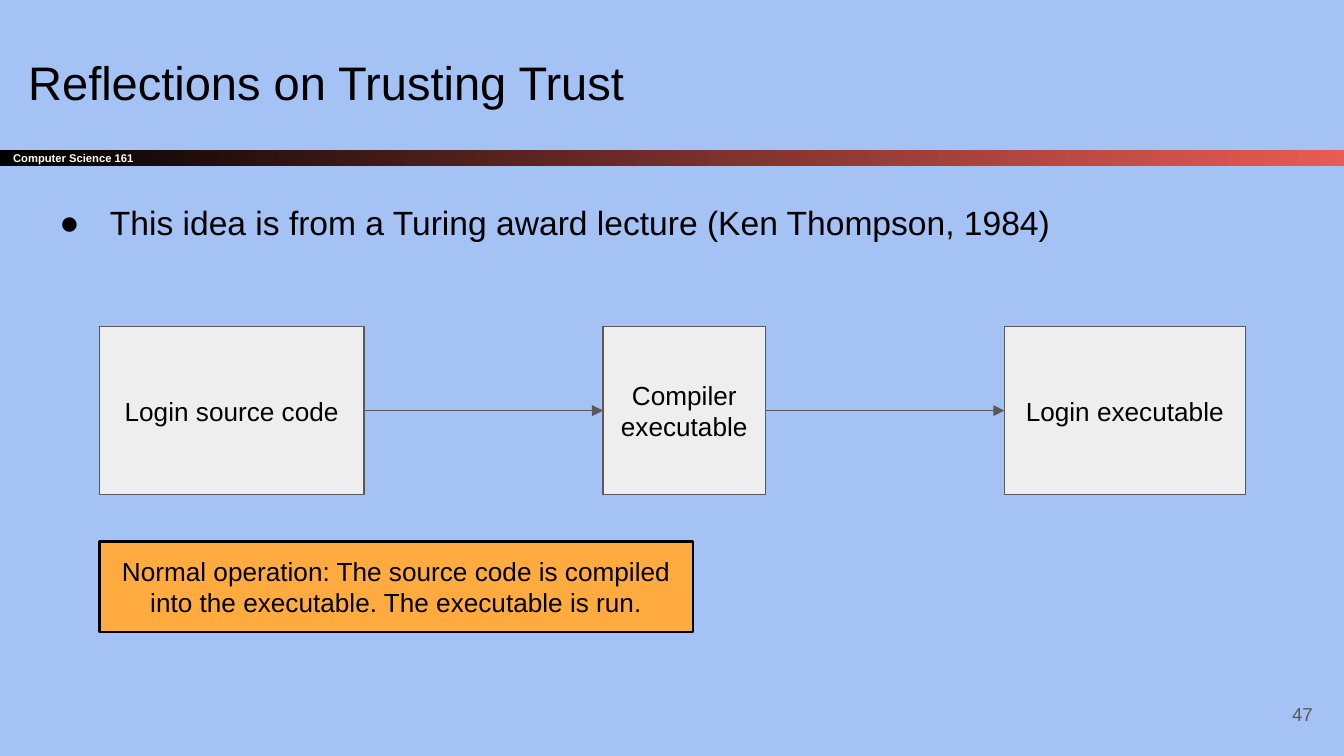
from dataclasses import dataclass

from lxml import etree
from pptx import Presentation
from pptx.dml.color import RGBColor
from pptx.enum import shapes, text
from pptx.oxml.ns import qn
from pptx.util import Pt

BLACK = RGBColor(0x00, 0x00, 0x00)
WHITE = RGBColor(0xFF, 0xFF, 0xFF)
GREY = RGBColor(0x59, 0x59, 0x59)
SKY = RGBColor(0xA4, 0xC2, 0xF4)
CORAL = RGBColor(0xE8, 0x5C, 0x54)
PALE = RGBColor(0xEE, 0xEE, 0xEE)
ORANGE = RGBColor(0xFF, 0xAB, 0x40)

LEFT, CENTER, RIGHT = text.PP_ALIGN.LEFT, text.PP_ALIGN.CENTER, text.PP_ALIGN.RIGHT
TOP, MIDDLE = text.MSO_ANCHOR.TOP, text.MSO_ANCHOR.MIDDLE
INSET = 7.2
STAGE_LEFT, STAGE_TOP, STAGE_HEIGHT, STAGE_GAP = 53.3, 175, 90, 128


@dataclass
class Box:
    """Position and size in points."""
    x: float
    y: float
    w: float
    h: float

    def lengths(self):
        """Return left, top, width and height as lengths."""
        return Pt(self.x), Pt(self.y), Pt(self.w), Pt(self.h)


@dataclass
class Style:
    """Look of a block of text."""
    size: float
    color: RGBColor = BLACK
    align: text.PP_ALIGN = LEFT
    anchor: text.MSO_ANCHOR = TOP
    bold: bool = False


@dataclass
class Stage:
    """One step of the compile flow."""
    label: str
    width: float


STAGES = [Stage("Login source code", 141.8),
          Stage("Compiler executable", 87),
          Stage("Login executable", 129)]


def write(sp, words: str, style: Style):
    """Put styled text in a shape and return its paragraph."""
    tf = sp.text_frame
    tf.word_wrap = True
    tf.vertical_anchor = style.anchor
    tf.margin_left = tf.margin_right = tf.margin_top = tf.margin_bottom = Pt(INSET)
    p = tf.paragraphs[0]
    p.text = words
    p.alignment = style.align
    font = p.runs[0].font
    font.name = "Arial"
    font.size = Pt(style.size)
    font.bold = style.bold
    font.color.rgb = style.color
    return p


def add_text(s, box: Box, words: str, style: Style):
    """Add a text box and return its paragraph."""
    return write(s.shapes.add_textbox(*box.lengths()), words, style)


def add_rect(s, box: Box, words: str, style: Style):
    """Add a rectangle with text and no shadow."""
    sp = s.shapes.add_shape(shapes.MSO_SHAPE.RECTANGLE, *box.lengths())
    sp.shadow.inherit = False
    write(sp, words, style)
    return sp


def paint(sp, fill: RGBColor, line: RGBColor, width: float):
    """Give a shape a solid fill and an outline."""
    sp.fill.solid()
    sp.fill.fore_color.rgb = fill
    sp.line.color.rgb = line
    sp.line.width = Pt(width)


def add_bar(s):
    """Add the gradient bar with the course name."""
    sp = add_rect(s, Box(0, 80.2, 720, 8.6), "Computer Science 161",
                  Style(6, WHITE, anchor=MIDDLE, bold=True))
    sp.line.fill.background()
    sp.fill.gradient()
    sp.fill.gradient_angle = 0
    for stop, color in zip(sp.fill.gradient_stops, (BLACK, CORAL)):
        stop.color.rgb = color


def add_bullet(p):
    """Turn a paragraph into a hanging bullet."""
    p.line_spacing = 1.15
    pPr = p._p.get_or_add_pPr()
    pPr.set("marL", str(Pt(36)))
    pPr.set("indent", str(-Pt(27)))
    color = etree.SubElement(pPr, qn("a:buClr"))
    etree.SubElement(color, qn("a:srgbClr"), val=str(BLACK))
    etree.SubElement(pPr, qn("a:buFont"), typeface="Arial")
    etree.SubElement(pPr, qn("a:buChar"), char="●")


def add_arrow(s, start, end):
    """Connect the right side of one shape to the left side of the next."""
    line = s.shapes.add_connector(shapes.MSO_CONNECTOR.STRAIGHT, 0, 0, 0, 0)
    line.begin_connect(start, 3)
    line.end_connect(end, 1)
    line.line.color.rgb = GREY
    line.line.width = Pt(0.75)
    etree.SubElement(line.line._get_or_add_ln(), qn("a:tailEnd"), type="triangle")
    etree.SubElement(line._element.spPr, qn("a:effectLst"))


def add_flow(s):
    """Add the evenly spaced stages and the arrows between them."""
    x, placed = STAGE_LEFT, []
    for stage in STAGES:
        sp = add_rect(s, Box(x, STAGE_TOP, stage.width, STAGE_HEIGHT), stage.label,
                      Style(14, align=CENTER, anchor=MIDDLE))
        paint(sp, PALE, GREY, 0.75)
        placed.append(sp)
        x += stage.width + STAGE_GAP
    for start, end in zip(placed, placed[1:]):
        add_arrow(s, start, end)


def main():
    """Build and save the slide."""
    prs = Presentation()
    prs.slide_width, prs.slide_height = Pt(720), Pt(405)
    s = prs.slides.add_slide(prs.slide_layouts[6])
    s.background.fill.solid()
    s.background.fill.fore_color.rgb = SKY

    add_bar(s)
    add_text(s, Box(8, 21.6, 671, 45.4), "Reflections on Trusting Trust", Style(25.2))
    add_text(s, Box(667.2, 367.2, 43.2, 31), "47", Style(10, GREY, RIGHT, MIDDLE))
    add_bullet(add_text(s, Box(15.8, 98, 671, 45.4),
                        "This idea is from a Turing award lecture (Ken Thompson, 1984)",
                        Style(18)))
    add_flow(s)
    note = add_rect(s, Box(STAGE_LEFT, 290.2, 318, 48.4),
                    "Normal operation: The source code is compiled into the executable. "
                    "The executable is run.", Style(14, align=CENTER))
    paint(note, ORANGE, BLACK, 1.5)
    prs.save("out.pptx")


main()
